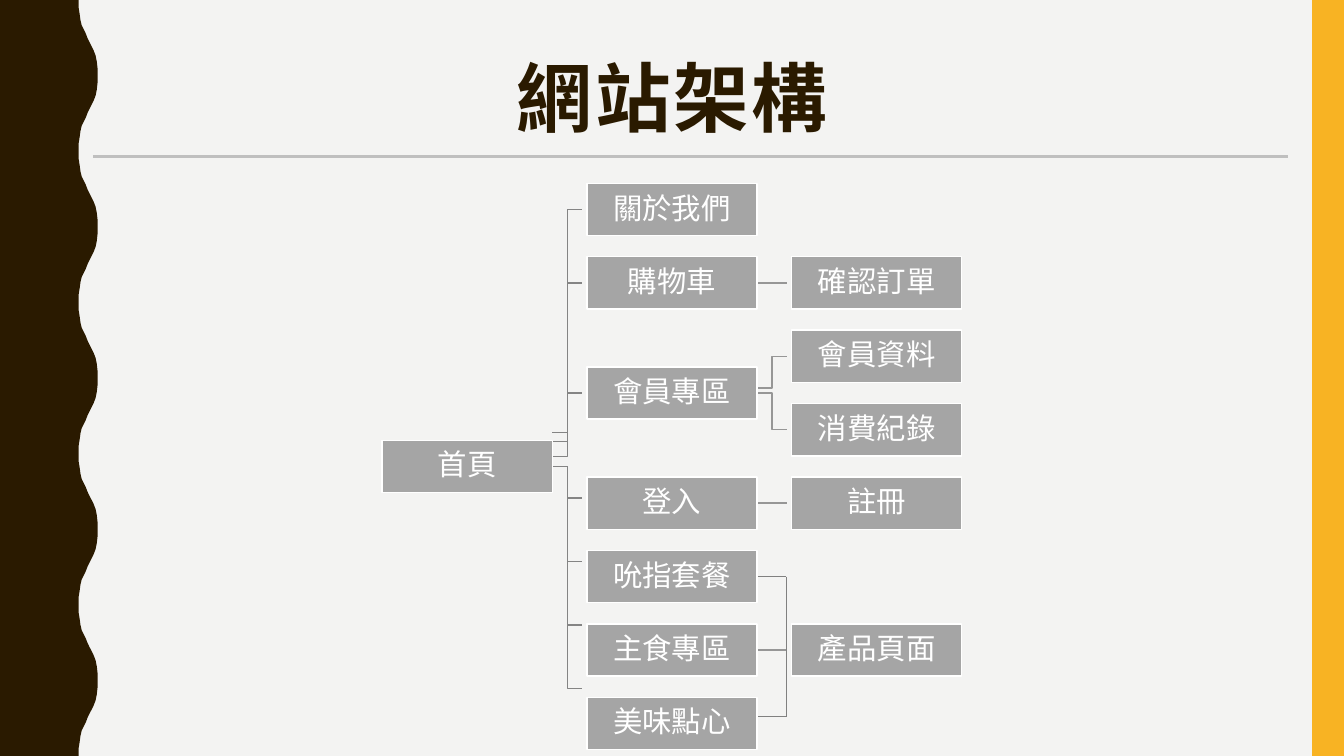
from lxml import etree
from pptx import Presentation
from pptx.dml.color import RGBColor
from pptx.enum.shapes import MSO_CONNECTOR, MSO_SHAPE
from pptx.enum.text import MSO_ANCHOR, PP_ALIGN
from pptx.oxml.ns import qn
from pptx.util import Cm, Pt

RECTANGLE = MSO_SHAPE.RECTANGLE
STRAIGHT = MSO_CONNECTOR.STRAIGHT
CENTER = PP_ALIGN.CENTER
MIDDLE = MSO_ANCHOR.MIDDLE

FONT = "Noto Sans CJK SC"
COLORS = {
    "background": "F3F3F2", "brown": "2A1A00", "yellow": "F8B323",
    "rule": "BFBFBF", "node": "A5A5A5", "white": "FFFFFF",
    "branch": "848484", "twig": "969696", "bracket": "808080",
}
PAGE_WIDTH, PAGE_HEIGHT = 33.87, 19.05
NODE_WIDTH, NODE_HEIGHT = 4.29, 1.32
COLUMN_LEFT, COLUMN_STEP = 9.63, 5.16
ROW_TOP, ROW_STEP = 4.62, 1.85
LINK_WIDTH = 0.76
WAVE_PERIOD = 3.81
WAVE_RISE = [
    (1.98, 0), (1.98, 0.18), (2.01, 0.36), (2.03, 0.51), (2.06, 0.64),
    (2.11, 0.74), (2.16, 0.84), (2.21, 0.97), (2.26, 1.07), (2.31, 1.17),
    (2.36, 1.27), (2.41, 1.4), (2.44, 1.55), (2.46, 1.73), (2.46, 1.9),
]
NODES = [
    ("首頁", 0, 3.5), ("關於我們", 1, 0), ("購物車", 1, 1), ("確認訂單", 2, 1),
    ("會員專區", 1, 2.5), ("會員資料", 2, 2), ("消費紀錄", 2, 3),
    ("登入", 1, 4), ("註冊", 2, 4), ("吮指套餐", 1, 5),
    ("主食專區", 1, 6), ("產品頁面", 2, 6), ("美味點心", 1, 7),
]


def color(name):
    return RGBColor.from_string(COLORS[name])


def column_left(column):
    return COLUMN_LEFT + column * COLUMN_STEP


def row_middle(row):
    return ROW_TOP + row * ROW_STEP + NODE_HEIGHT / 2


def paint(shape, fill=None, line=None, width=1):
    """Set the fill and outline of a shape and drop its shadow."""
    shape.shadow.inherit = False
    if fill:
        shape.fill.solid()
        shape.fill.fore_color.rgb = color(fill)
    else:
        shape.fill.background()
    if line:
        shape.line.color.rgb = color(line)
        shape.line.width = Pt(width)
    else:
        shape.line.fill.background()


def write(box, text, size, fill, bold=False, spacing=0, after=0, inset=0.0):
    """Put one centred paragraph into a box."""
    frame = box.text_frame
    frame.word_wrap = True
    frame.vertical_anchor = MIDDLE
    frame.margin_left = frame.margin_right = Cm(inset)
    frame.margin_top = frame.margin_bottom = Cm(inset)
    para = frame.paragraphs[0]
    para.alignment = CENTER
    para.line_spacing = 0.9
    para.space_after = Pt(after)
    span = para.add_run()
    span.text = text
    span.font.size = Pt(size)
    span.font.bold = bold
    span.font.name = FONT
    span.font.color.rgb = color(fill)
    properties = span.font._element
    properties.set("spc", str(spacing * 100))
    east_asian = etree.Element(qn("a:ea"), typeface=FONT)
    properties.find(qn("a:latin")).addnext(east_asian)


def add_block(page, left, top, width, height, fill, line=None):
    block = page.shapes.add_shape(
        RECTANGLE, Cm(left), Cm(top), Cm(width), Cm(height))
    paint(block, fill, line)
    return block


def add_outline(page, points, closed=False, **style):
    """Draw a freeform through points given in centimetres."""
    places = [(Cm(x), Cm(y)) for x, y in points]
    builder = page.shapes.build_freeform(*places[0])
    builder.add_line_segments(places[1:], close=closed)
    paint(builder.convert_to_shape(), **style)


def add_line(page, start, end, line, width):
    connector = page.shapes.add_connector(
        STRAIGHT, *(Cm(value) for value in start + end))
    connector.line.color.rgb = color(line)
    connector.line.width = Pt(width)
    etree.SubElement(connector._element.spPr, qn("a:effectLst"))


def add_wave(page):
    fall = [(x, WAVE_PERIOD - y) for x, y in reversed(WAVE_RISE)]
    edge = [(x, y + turn * WAVE_PERIOD)
            for turn in range(5) for x, y in WAVE_RISE + fall[1:]]
    add_outline(page, [(0, 0), *edge, (0, PAGE_HEIGHT)], True, fill="brown")


def add_link(page, column, start, end, line):
    """Join a column to the next with a straight or stepped line."""
    left = column_left(column) + NODE_WIDTH
    right, middle = left + LINK_WIDTH, left + LINK_WIDTH / 2
    points = [(left, start), (right, end)]
    if start != end:
        points[1:1] = [(middle, start), (middle, end)]
    add_outline(page, points, line=line)


def add_links(page):
    for index in range(4):
        add_link(page, 0, row_middle(3.5), 12.55 + 1.6 * index, "branch")
    for start, row in ((11.51, 2.5), (11.13, 1), (10.9, 0)):
        add_link(page, 0, start, row_middle(row), "branch")
    for row in (1, 4, 6):
        add_link(page, 1, row_middle(row), row_middle(row), "twig")
    add_link(page, 1, row_middle(2.5), row_middle(3), "twig")
    add_link(page, 1, row_middle(2.5) - 0.13, row_middle(2), "twig")


def add_node(page, text, column, row):
    box = add_block(page, column_left(column), ROW_TOP + row * ROW_STEP,
                    NODE_WIDTH, NODE_HEIGHT, "node", "white")
    write(box, text, 21, "white", after=7, inset=0.03)


def add_bracket(page):
    left, right, top, bottom = 19.1, 19.81, 14.53, 18.06
    corners = [(left, top), (right, top), (right, bottom), (left, bottom)]
    for start, end in zip(corners, corners[1:]):
        add_line(page, start, end, "bracket", 0.5)


def main():
    deck = Presentation()
    deck.slide_width, deck.slide_height = Cm(PAGE_WIDTH), Cm(PAGE_HEIGHT)
    page = deck.slides.add_slide(deck.slide_layouts[6])
    page.background.fill.solid()
    page.background.fill.fore_color.rgb = color("background")
    add_wave(page)
    add_block(page, 33.07, 0, 0.8, PAGE_HEIGHT, "yellow")
    title = page.shapes.add_textbox(Cm(2.34), Cm(1.22), Cm(29.21), Cm(2.69))
    write(title, "網站架構", 54, "brown", bold=True, spacing=2)
    add_line(page, (2.34, 3.94), (32.46, 3.94), "rule", 2.25)
    add_links(page)
    for node in NODES:
        add_node(page, *node)
    add_bracket(page)
    deck.save("out.pptx")


if __name__ == "__main__":
    main()
